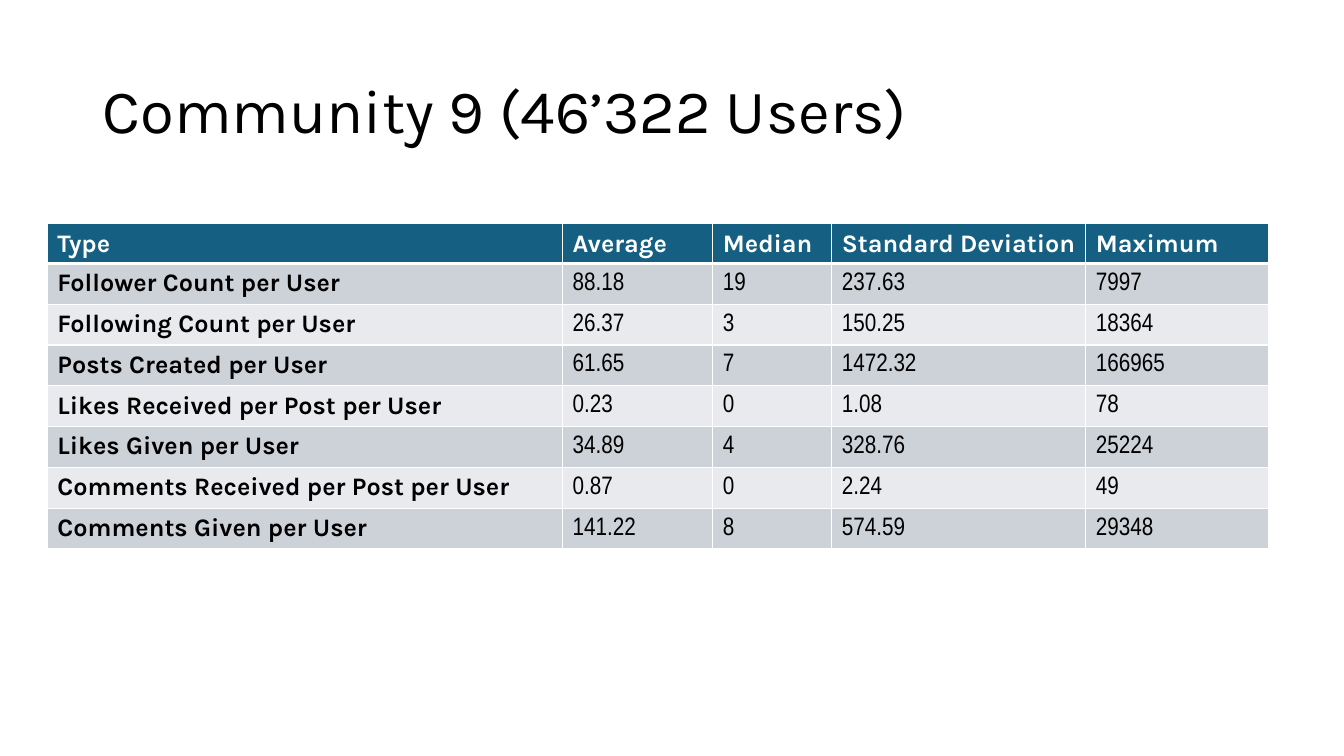
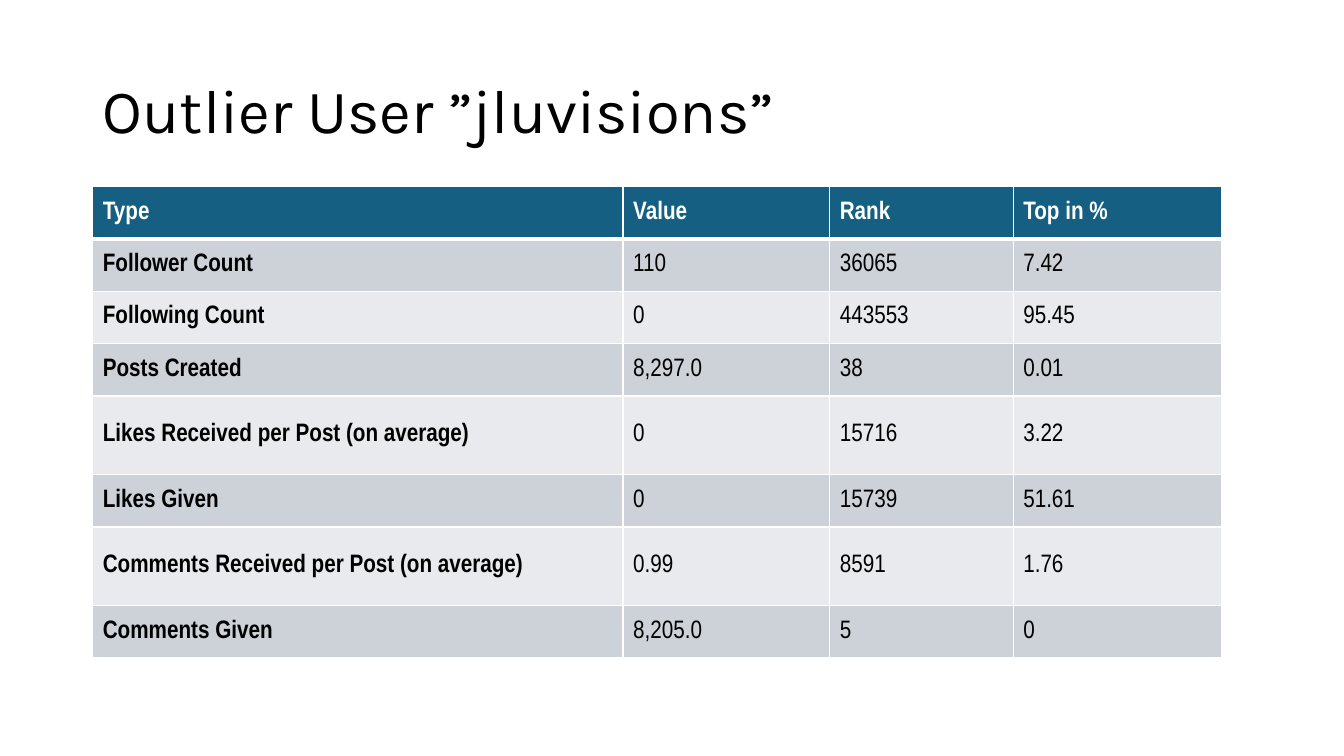
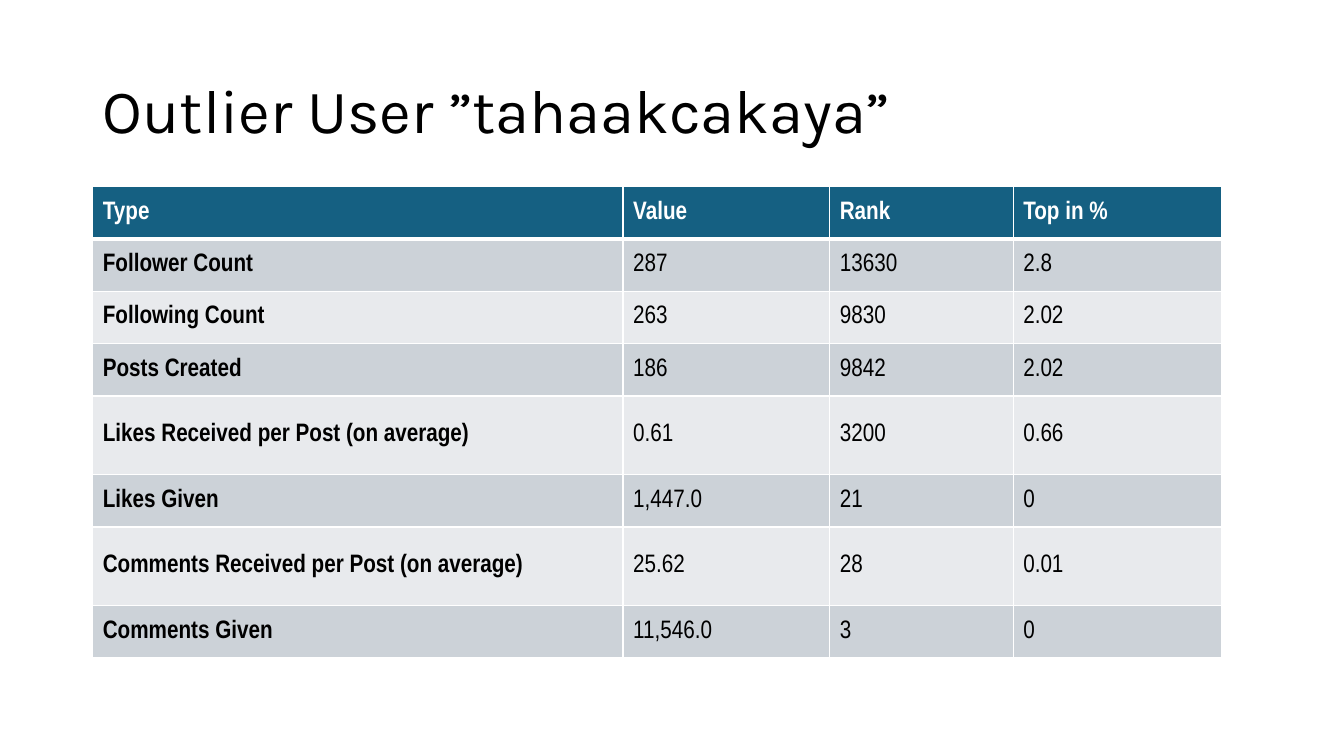
from lxml.etree import SubElement
from pptx import Presentation
from pptx.dml.color import RGBColor
from pptx.enum.text import MSO_ANCHOR, MSO_AUTO_SIZE, PP_ALIGN
from pptx.oxml.ns import qn
from pptx.util import Inches, Pt

TITLE_FONT = "Karla"
TABLE_FONT = "Arial Narrow"
WHITE = "FFFFFF"
BLACK = "000000"
HEADER_FILL = "156082"
BAND_FILLS = ("CCD2D8", "E8EAED")
TITLE_BOX = (0.92, 0.4, 11.5, 1.45)

COMMUNITY_HEADER = ("Type", "Average", "Median", "Standard Deviation", "Maximum")
COMMUNITY_ROWS = (
    ("Follower Count per User", "88.18", "19", "237.63", "7997"),
    ("Following Count per User", "26.37", "3", "150.25", "18364"),
    ("Posts Created per User", "61.65", "7", "1472.32", "166965"),
    ("Likes Received per Post per User", "0.23", "0", "1.08", "78"),
    ("Likes Given per User", "34.89", "4", "328.76", "25224"),
    ("Comments Received per Post per User", "0.87", "0", "2.24", "49"),
    ("Comments Given per User", "141.22", "8", "574.59", "29348"),
)
OUTLIER_HEADER = ("Type", "Value", "Rank", "Top in %")
OUTLIER_LABELS = (
    "Follower Count",
    "Following Count",
    "Posts Created",
    "Likes Received per Post (on average)",
    "Likes Given",
    "Comments Received per Post (on average)",
    "Comments Given",
)
OUTLIERS = {
    "jluvisions": (
        ("110", "36065", "7.42"),
        ("0", "443553", "95.45"),
        ("8,297.0", "38", "0.01"),
        ("0", "15716", "3.22"),
        ("0", "15739", "51.61"),
        ("0.99", "8591", "1.76"),
        ("8,205.0", "5", "0"),
    ),
    "tahaakcakaya": (
        ("287", "13630", "2.8"),
        ("263", "9830", "2.02"),
        ("186", "9842", "2.02"),
        ("0.61", "3200", "0.66"),
        ("1,447.0", "21", "0"),
        ("25.62", "28", "0.01"),
        ("11,546.0", "3", "0"),
    ),
}


def color(value):
    return RGBColor.from_string(value)


def style_font(paragraph, name, size, font_color, bold=False):
    paragraph.font.name = name
    paragraph.font.size = Pt(size)
    paragraph.font.color.rgb = color(font_color)
    paragraph.font.bold = bold


def add_titled_slide(presentation, title):
    slide = presentation.slides.add_slide(presentation.slide_layouts[5])
    shape = slide.shapes.title
    shape.left, shape.top, shape.width, shape.height = map(Inches, TITLE_BOX)
    frame = shape.text_frame
    frame.text = title
    frame.word_wrap = True
    frame.auto_size = MSO_AUTO_SIZE.NONE
    frame.vertical_anchor = MSO_ANCHOR.MIDDLE
    paragraph = frame.paragraphs[0]
    paragraph.alignment = PP_ALIGN.LEFT
    paragraph.line_spacing = 0.9
    style_font(paragraph, TITLE_FONT, 44, BLACK)
    return slide


def set_borders(cell, top, bottom):
    properties = cell._tc.get_or_add_tcPr()
    for side, width in (("lnL", 1), ("lnR", 1), ("lnT", top), ("lnB", bottom)):
        line = SubElement(properties, qn(f"a:{side}"), w=str(Pt(width)))
        fill = SubElement(line, qn("a:solidFill"))
        SubElement(fill, qn("a:srgbClr"), val=WHITE)


def fill_cell(cell, text, row, font_name, anchor):
    is_header = row == 0
    set_borders(cell, 3 if row == 1 else 1, 3 if is_header else 1)
    cell.fill.solid()
    cell.fill.fore_color.rgb = color(HEADER_FILL if is_header else BAND_FILLS[(row - 1) % 2])
    cell.text = text
    cell.vertical_anchor = anchor
    return cell.text_frame.paragraphs[0]


def add_statistics_table(slide, left, top, column_widths, row_heights, rows,
                         heading_font, heading_anchor):
    frame = slide.shapes.add_table(
        len(rows), len(column_widths), Inches(left), Inches(top),
        Inches(sum(column_widths)), Inches(sum(row_heights)))
    table = frame.table
    table.horz_banding = False
    for column, width in zip(table.columns, column_widths):
        column.width = Inches(width)
    for table_row, height in zip(table.rows, row_heights):
        table_row.height = Inches(height)
    for row, texts in enumerate(rows):
        for column, text in enumerate(texts):
            is_heading = row == 0 or column == 0
            font_name = heading_font if is_heading else TABLE_FONT
            anchor = heading_anchor if is_heading else MSO_ANCHOR.MIDDLE
            paragraph = fill_cell(table.cell(row, column), text, row, font_name, anchor)
            style_font(paragraph, font_name, 18, BLACK if row else WHITE, is_heading)


def add_community_slide(presentation):
    slide = add_titled_slide(presentation, "Community 9 (46’322 Users)")
    add_statistics_table(
        slide, 0.47, 2.22, (5.11, 1.49, 1.18, 2.52, 1.81), (0.38,) + (0.405,) * 7,
        (COMMUNITY_HEADER,) + COMMUNITY_ROWS, TITLE_FONT, MSO_ANCHOR.TOP)


def add_outlier_slide(presentation, user, values):
    slide = add_titled_slide(presentation, f"Outlier User ”{user}”")
    rows = [OUTLIER_HEADER]
    rows += [(label, *numbers) for label, numbers in zip(OUTLIER_LABELS, values)]
    row_heights = [0.78 if "(on average)" in row[0] else 0.52 for row in rows]
    add_statistics_table(
        slide, 0.92, 1.85, (5.26, 2.05, 1.82, 2.07), row_heights,
        rows, TABLE_FONT, MSO_ANCHOR.MIDDLE)


def main():
    presentation = Presentation()
    presentation.slide_width = Inches(13.33)
    presentation.slide_height = Inches(7.5)
    add_community_slide(presentation)
    for user, values in OUTLIERS.items():
        add_outlier_slide(presentation, user, values)
    presentation.save("out.pptx")


if __name__ == "__main__":
    main()
